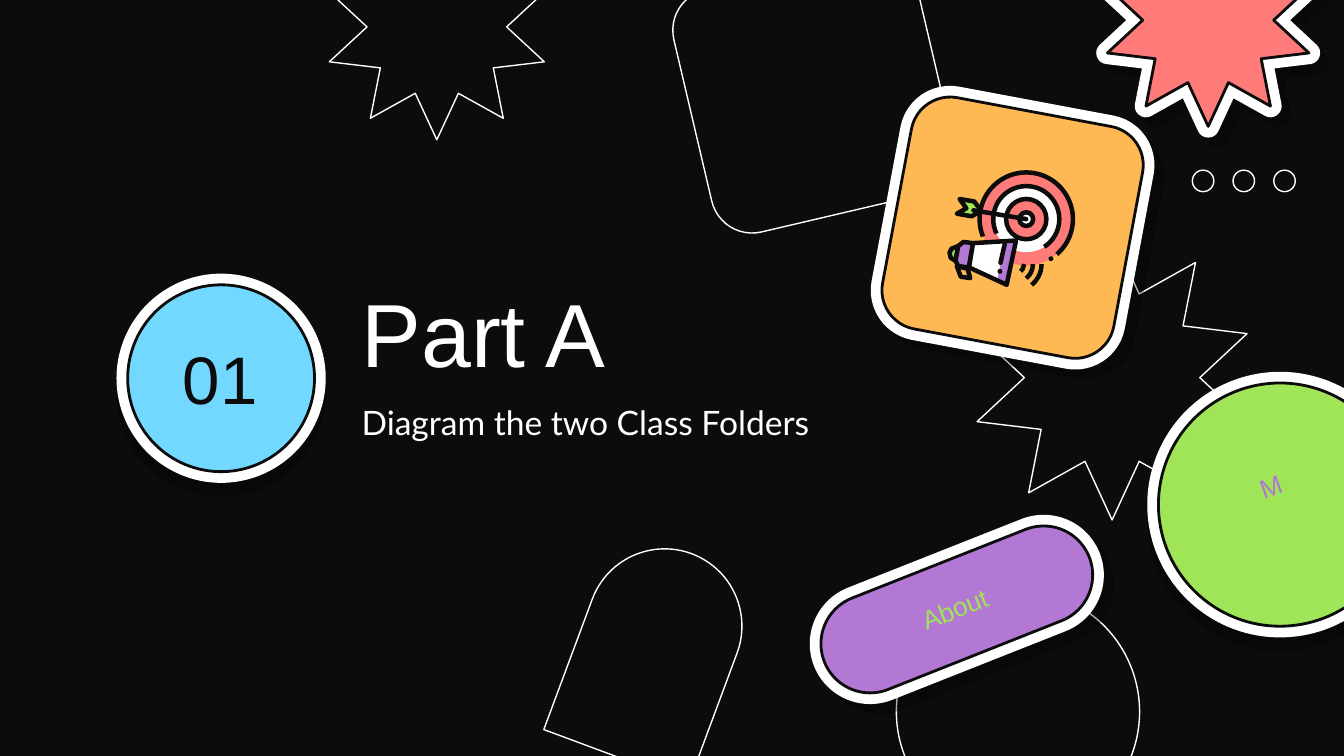
from lxml import etree
from pptx import Presentation
from pptx.dml.color import RGBColor
from pptx.enum.shapes import MSO_CONNECTOR, MSO_SHAPE
from pptx.enum.text import MSO_ANCHOR, MSO_AUTO_SIZE, PP_ALIGN
from pptx.oxml.ns import qn
from pptx.util import Pt

OVAL, STAR, ARC = MSO_SHAPE.OVAL, MSO_SHAPE.STAR_10_POINT, MSO_SHAPE.ARC
ROUNDED, ARCH = MSO_SHAPE.ROUNDED_RECTANGLE, MSO_SHAPE.ROUND_2_SAME_RECTANGLE
STRAIGHT = MSO_CONNECTOR.STRAIGHT
TOP, MIDDLE, BOTTOM = MSO_ANCHOR.TOP, MSO_ANCHOR.MIDDLE, MSO_ANCHOR.BOTTOM
LEFT, CENTER = PP_ALIGN.LEFT, PP_ALIGN.CENTER

THEME = {
    "ink": "0C0C0D", "white": "FFFFFF", "blue": "72D8FF", "green": "A0E557",
    "purple": "B278D3", "coral": "FF7B79", "orange": "FFB954", "shadow": "000000",
    "heading font": "Arial", "body font": "Lato",
    "title size": 48, "number size": 36, "subtitle size": 18, "label size": 14,
    "hairline": 0.75, "edge": 1.5, "border": 12, "icon stroke": 2.4,
}
STAR_POINTS = (0.309, 1.051)
CORNER = (0.167,)


def paint(shape, fill=None, line=None, width="hairline"):
    """Give a shape its theme fill and line, without a shadow."""
    shape.shadow.inherit = False
    if fill:
        shape.fill.solid()
        shape.fill.fore_color.rgb = RGBColor.from_string(THEME[fill])
    else:
        shape.fill.background()
    if line:
        shape.line.color.rgb = RGBColor.from_string(THEME[line])
        shape.line.width = Pt(THEME[width])
        etree.SubElement(shape.line._ln, qn("a:round"))
    else:
        shape.line.fill.background()
    return shape


def draw(parent, kind, box, turn=0, adjust=(), **look):
    """Add a preset shape; the box is left, top, width, height in points."""
    shape = parent.shapes.add_shape(kind, *[Pt(v) for v in box])
    shape.rotation = turn
    for i, value in enumerate(adjust):
        shape.adjustments[i] = value
    return paint(shape, **look)


prs = Presentation()
prs.slide_width, prs.slide_height = Pt(720), Pt(405)
slide = prs.slides.add_slide(prs.slide_layouts[0])
slide.background.fill.solid()
slide.background.fill.fore_color.rgb = RGBColor.from_string(THEME["ink"])

# Outlined background shapes
outlines = [
    (STAR, (523.4, 126, 144.7, 152.6), 180, STAR_POINTS),
    (OVAL, (480.2, 316.1, 130.3, 130.3), 199.6, ()),
    (ROUNDED, (369.4, -17.3, 133.2, 133.2), 166.8, CORNER),
    (ARCH, (308.9, 293, 82.8, 115.9), 20.4, (0.5, 0)),
    (STAR, (176.4, -46.1, 115.2, 121), 180, STAR_POINTS),
]
outlines += [(OVAL, (638.8 + 21.8 * i, 91.2, 11.5, 11.5), 0, ()) for i in range(3)]
for kind, box, turn, adjust in outlines:
    draw(slide, kind, box, turn, adjust, line="white")

# Stickers: white border with a hard shadow, coloured face on top
stickers = {
    "number": (OVAL, (68.4, 152.6, 100.1, 100.1), 0, (), "blue", 29, 90),
    "circle": (OVAL, (620.6, 205.2, 130.3, 130.3), 340.4, (), "green", 29, 90),
    "pill": (ROUNDED, (436.3, 300.2, 152.6, 52.6), 338.4, (0.5,), "purple", 31, 44),
    "star": (STAR, (593.3, -46.1, 108, 113.8), 0, STAR_POINTS, "coral", 31, 47),
    "goal": (ROUNDED, (479.5, 59, 126, 126), 10.6, CORNER, "orange", 31, 44),
}
groups = {}
for part, (kind, box, turn, adjust, face, opacity, direction) in stickers.items():
    group = groups[part] = slide.shapes.add_group_shape()
    backing = draw(group, kind, box, turn, adjust,
                   fill="white", line="white", width="border")
    effects = backing._element.spPr.find(qn("a:effectLst"))
    shadow = etree.SubElement(effects, qn("a:outerShdw"), blurRad="0",
                              dist=str(Pt(7.5)), dir=str(direction * 60000),
                              algn="bl", rotWithShape="0")
    tint = etree.SubElement(shadow, qn("a:srgbClr"), val=THEME["shadow"])
    etree.SubElement(tint, qn("a:alpha"), val=str(opacity * 1000))
    draw(group, kind, box, turn, adjust, fill=face, line="ink", width="edge")

# Goal icon: target discs, then rings (radius, start and end angle)
icon = groups["goal"]
stroke = {"line": "ink", "width": "icon stroke"}
target, sound = (549.8, 117.4), (543.6, 141.5)
for radius, colour in [(24.8, "coral"), (17.7, "white"), (10.8, "coral"), (3.7, "white")]:
    x, y = target
    draw(icon, OVAL, (x - radius, y - radius, 2 * radius, 2 * radius), fill=colour)
for radius in (10.8, 3.7):
    draw(icon, OVAL, (x - radius, y - radius, 2 * radius, 2 * radius), **stroke)
arcs = [(target, 25, 158, 49), (target, 17.7, 154, 57)]
arcs += [(sound, radius, -28, 51) for radius in (5, 9.8, 14.4)]
for (x, y), radius, start, end in arcs:
    draw(icon, ARC, (x - radius, y - radius, 2 * radius, 2 * radius),
         adjust=(start * 0.6, end * 0.6), **stroke)

# Arrow feathers and megaphone
pieces = [
    ("green", stroke, [(514.1, 106.6), (517.7, 111.6), (512.6, 114.5),
                       (520.6, 115.9), (525.6, 113), (522, 108)]),
    ("green", stroke, [(513.4, 131.8), (509.8, 133.2), (508.7, 135.4),
                       (509.4, 138.2), (511.9, 139.7)]),
    ("orange", stroke, [(512.6, 142.6), (518.4, 144), (519.8, 149), (514.8, 148.3)]),
    ("purple", stroke, [(516.2, 129.6), (513.4, 131.8), (511.9, 139.7),
                        (513.4, 142.6), (519.1, 143.3), (521.3, 130.3)]),
    ("white", {}, [(544.3, 128.9), (521.3, 130.3), (519.1, 143.3), (539.3, 152.6)]),
    ("purple", {}, [(544.3, 128.9), (538.6, 129.6), (534.2, 150.5), (539.3, 152.6)]),
    (None, stroke, [(544.3, 128.9), (521.3, 130.3), (519.1, 143.3), (539.3, 152.6)]),
]
for colour, edge, points in pieces:
    corners = [(Pt(x), Pt(y)) for x, y in points]
    outline = icon.shapes.build_freeform(*corners[0], scale=1.0)
    outline.add_line_segments(corners[1:], close=True)
    paint(outline.convert_to_shape(), fill=colour, **edge)

# Arrow shaft, megaphone crease and dots
for ends in [(521.5, 112.7, *target), (538.2, 131, 536, 140.8)]:
    stick = icon.shapes.add_connector(STRAIGHT, *[Pt(v) for v in ends])
    stick.line.color.rgb = RGBColor.from_string(THEME["ink"])
    stick.line.width = Pt(THEME["icon stroke"])
    stick.line._ln.set("cap", "rnd")
    etree.SubElement(stick._element.spPr, qn("a:effectLst"))
for x, y in [(563, 138.6), (535.7, 145.4)]:
    draw(icon, OVAL, (x - 1.3, y - 1.3, 2.6, 2.6), fill="ink")

# Title, subtitle and sticker labels
title, subtitle = slide.placeholders
number, letter, about = [groups[part].shapes.add_textbox(0, 0, 0, 0)
                         for part in ("number", "circle", "pill")]
texts = [
    (title, "Part A", (186.5, 141.1, 276.5, 72.7), 0, 7.2,
     BOTTOM, LEFT, "title size", "heading font", "white"),
    (subtitle, "Diagram the two Class Folders", (186.5, 208.1, 276.5, 56.2), 0, 7.2,
     TOP, LEFT, "subtitle size", "body font", "white"),
    (number, "01", (80.6, 174.2, 74.9, 56.2), 0, 7.2,
     MIDDLE, CENTER, "number size", "heading font", "ink"),
    (letter, "M", (653, 247.7, 62.6, 45.4), 340.4, 3.6,
     TOP, CENTER, "label size", "heading font", "purple"),
    (about, "About", (455, 313.9, 113, 24.5), 338.4, 3.6,
     TOP, CENTER, "label size", "heading font", "green"),
]
for holder, words, box, turn, inset, anchor, align, size, font, colour in texts:
    for side, value in zip(("left", "top", "width", "height"), box):
        setattr(holder, side, Pt(value))
    holder.rotation = turn
    frame = holder.text_frame
    frame_format = {
        "word_wrap": True, "auto_size": MSO_AUTO_SIZE.NONE, "vertical_anchor": anchor,
        "margin_left": Pt(7.2), "margin_right": Pt(7.2),
        "margin_top": Pt(inset), "margin_bottom": Pt(inset),
    }
    for name, value in frame_format.items():
        setattr(frame, name, value)
    paragraph = frame.paragraphs[0]
    paragraph_format = {"alignment": align, "space_before": Pt(0), "line_spacing": 1.0}
    for name, value in paragraph_format.items():
        setattr(paragraph, name, value)
    run = paragraph.add_run()
    run.text = words
    for name, value in {"size": Pt(THEME[size]), "name": THEME[font], "bold": False}.items():
        setattr(run.font, name, value)
    run.font.color.rgb = RGBColor.from_string(THEME[colour])

prs.save("out.pptx")
